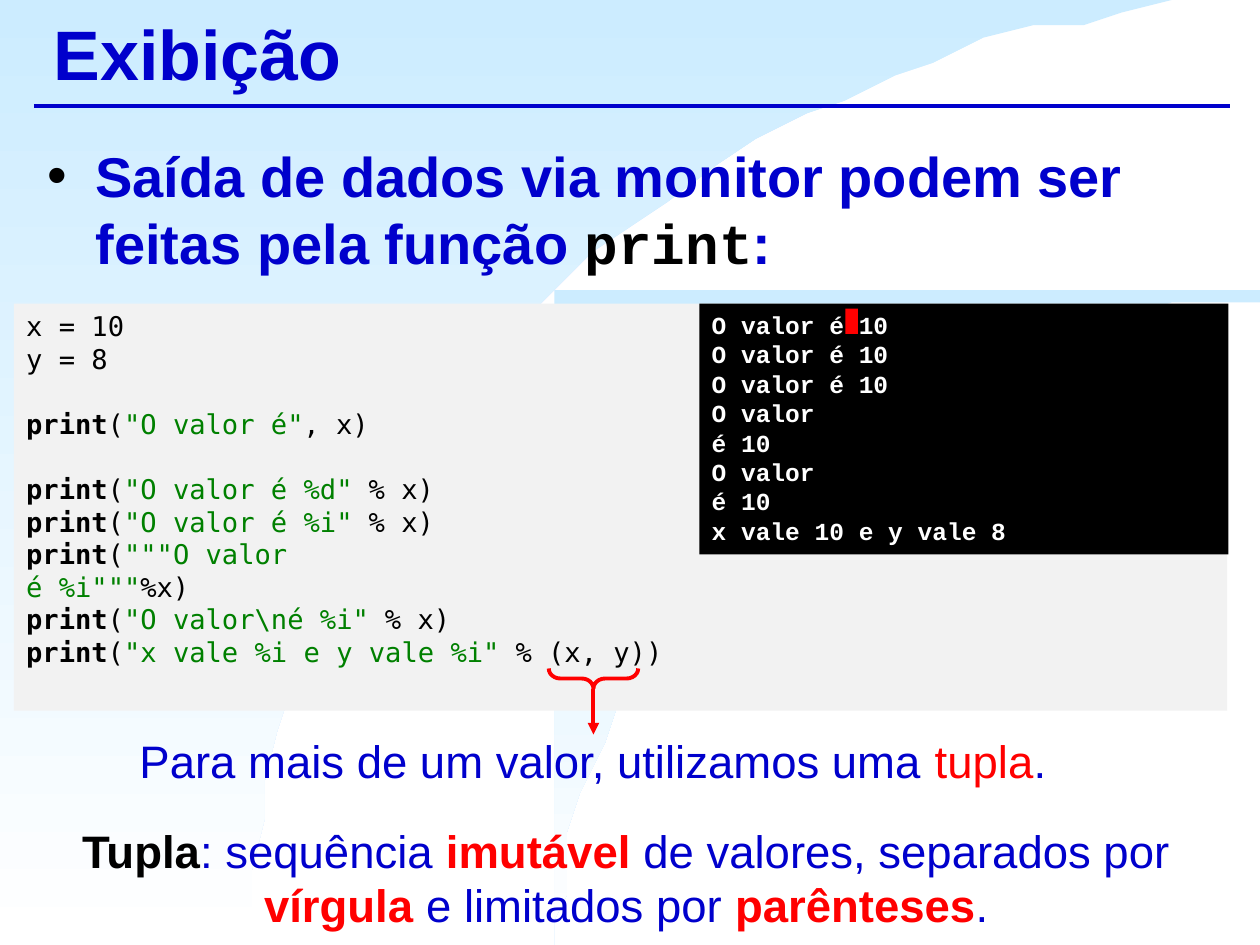
from math import cos, pi, sin
from lxml import etree
from pptx import Presentation
from pptx.dml.color import RGBColor
from pptx.enum.shapes import MSO_CONNECTOR, MSO_SHAPE
from pptx.enum.text import MSO_ANCHOR, PP_ALIGN
from pptx.oxml.ns import qn
from pptx.util import Inches, Pt

LINE = MSO_CONNECTOR.STRAIGHT
RECT = MSO_SHAPE.RECTANGLE
BRACE = MSO_SHAPE.LEFT_BRACE
TOP, MID = MSO_ANCHOR.TOP, MSO_ANCHOR.MIDDLE
LEFT, CENTER = PP_ALIGN.LEFT, PP_ALIGN.CENTER
BLUE, RED, BLACK, WHITE = "0000CC", "FF0000", "000000", "FFFFFF"
GREEN, GRAY, SKY = "008000", "F2F2F2", "CCECFF"
SANS, MONO, CODE = "Arial", "Courier New", "DejaVu Sans Mono"
CELL = Inches(0.1)
COLS, ROWS = 100, 75


def tint(code):
    return RGBColor.from_string(code)


def write(shape, lines, size, font, align=LEFT, anchor=TOP):
    frame = shape.text_frame
    frame.word_wrap = True
    frame.vertical_anchor = anchor
    for row, parts in enumerate(lines):
        para = frame.paragraphs[0] if row == 0 else frame.add_paragraph()
        para.alignment = align
        for text, color, bold in parts:
            run = para.add_run()
            run.text = text
            run.font.size = Pt(size)
            run.font.name = font
            run.font.bold = bold
            run.font.color.rgb = tint(color)
    return frame.paragraphs


prs = Presentation()
prs.slide_width, prs.slide_height = COLS * CELL, ROWS * CELL
slide = prs.slides.add_slide(prs.slide_layouts[6])
shapes = slide.shapes

STEPS = 32
BEND = 2 / 1.9
for left, top, start, peak in [(0, 0, 19.7, 0.1), (44, 23.3, 44.3, 23.5)]:
    arc = []
    for step in range(STEPS + 1):
        turn = pi / 2 * step / STEPS
        x = COLS - (COLS - start) * max(cos(turn), 0) ** BEND
        y = ROWS - (ROWS - peak) * sin(turn) ** BEND
        arc.append((x, y))
    pen = shapes.build_freeform(left, ROWS, scale=CELL)
    pen.add_line_segments(arc + [(COLS, top), (left, top)])
    sweep = pen.convert_to_shape()
    sweep.shadow.inherit = False
    sweep.line.fill.background()
    sweep.fill.gradient()
    sweep.fill.gradient_angle = 270
    for stop, color in zip(sweep.fill.gradient_stops, (SKY, WHITE)):
        stop.color.rgb = tint(color)

boxes = []
for x, y, wide, high in [(3.3, 0, 94.2, 8.3), (2.8, 10.7, 94.7, 12.5),
                         (6.1, 57.7, 81.9, 5.4), (2, 64.8, 95.4, 9.8)]:
    boxes.append(shapes.add_textbox(*(int(n * CELL) for n in (x, y, wide, high))))
title, body, note, rule = boxes

write(title, [[("Exibição", BLUE, True)]], 40, SANS, anchor=MID)
intro = write(body, [[
    ("Saída de dados via monitor podem ser feitas pela função ", BLUE, True),
    ("print", BLACK, True), (":", BLUE, True)]], 32, SANS)[0]
intro.runs[1].font.name = MONO
intro.space_before = Pt(6.4)
props = intro._p.get_or_add_pPr()
props.set("marL", str(Inches(0.38)))
props.set("indent", str(-Inches(0.38)))
tone = etree.SubElement(props, qn("a:buClr"))
etree.SubElement(tone, qn("a:srgbClr"), val=BLACK)
etree.SubElement(props, qn("a:buFont"), typeface=SANS)
etree.SubElement(props, qn("a:buChar"), char="•")

write(note, [[("Para mais de um valor, utilizamos uma ", BLUE, False),
              ("tupla", RED, False), (".", BLUE, False)]], 26, SANS, CENTER)
write(rule, [[("Tupla", BLACK, True), (": sequência ", BLUE, False),
              ("imutável", RED, True),
              (" de valores, separados por ", BLUE, False),
              ("vírgula ", RED, True), ("e limitados por ", BLUE, False),
              ("parênteses", RED, True), (".", BLUE, False)]],
      26, SANS, CENTER)

blocks = []
for kind, x, y, wide, high, color in [(RECT, 1.1, 24.1, 96.3, 32.3, GRAY),
                                      (RECT, 55.5, 24.1, 42, 19.9, BLACK),
                                      (RECT, 67.1, 24.5, 1, 2, RED),
                                      (BRACE, 46.3, 50.3, 1.6, 7.1, None)]:
    block = shapes.add_shape(kind, *(int(n * CELL) for n in (x, y, wide, high)))
    block.shadow.inherit = False
    if color:
        block.fill.solid()
        block.fill.fore_color.rgb = tint(color)
        block.line.fill.background()
    else:
        block.fill.background()
    blocks.append(block)
code, screen, mark, brace = blocks

brace.rotation = 270
brace.adjustments[0] = 0.58
brace.line.color.rgb = tint(RED)
brace.line.width = Pt(2.25)

lines = [[("x = 10", BLACK, False)], [("y = 8", BLACK, False)]]
for call, text, rest in [("print", '"O valor é"', ", x)"),
                         ("print", '"O valor é %d" ', "% x)"),
                         ("print", '"O valor é %i" ', "% x)"),
                         ("print", '"""O valor', ""),
                         ("", 'é %i"""', "%x)"),
                         ("print", '"O valor\\né %i" ', "% x)"),
                         ("print", '"x vale %i e y vale %i" ', "% (x, y))")]:
    head = [(call, BLACK, True), ("(", BLACK, False)] if call else []
    tail = [(rest, BLACK, False)] if rest else []
    lines.append(head + [(text, GREEN, False)] + tail)
paras = write(code, lines, 15.5, CODE)
for row in (2, 3):
    paras[row].space_before = Pt(18.6)

output = ["O valor é 10"] * 3 + ["O valor", "é 10"] * 2 + ["x vale 10 e y vale 8"]
write(screen, [[(text, WHITE, True)] for text in output], 14, MONO)

for x, y, end, low, color, tip in [(2.7, 8.4, 97.6, 8.4, BLUE, False),
                                   (47.1, 54.7, 47.1, 58.3, RED, True)]:
    wire = shapes.add_connector(LINE, *(int(n * CELL) for n in (x, y, end, low)))
    wire.line.color.rgb = tint(color)
    wire.line.width = Pt(2.25)
    if tip:
        etree.SubElement(wire.line._get_or_add_ln(), qn("a:tailEnd"), type="triangle")
    etree.SubElement(wire._element.spPr, qn("a:effectLst"))

prs.save("out.pptx")
